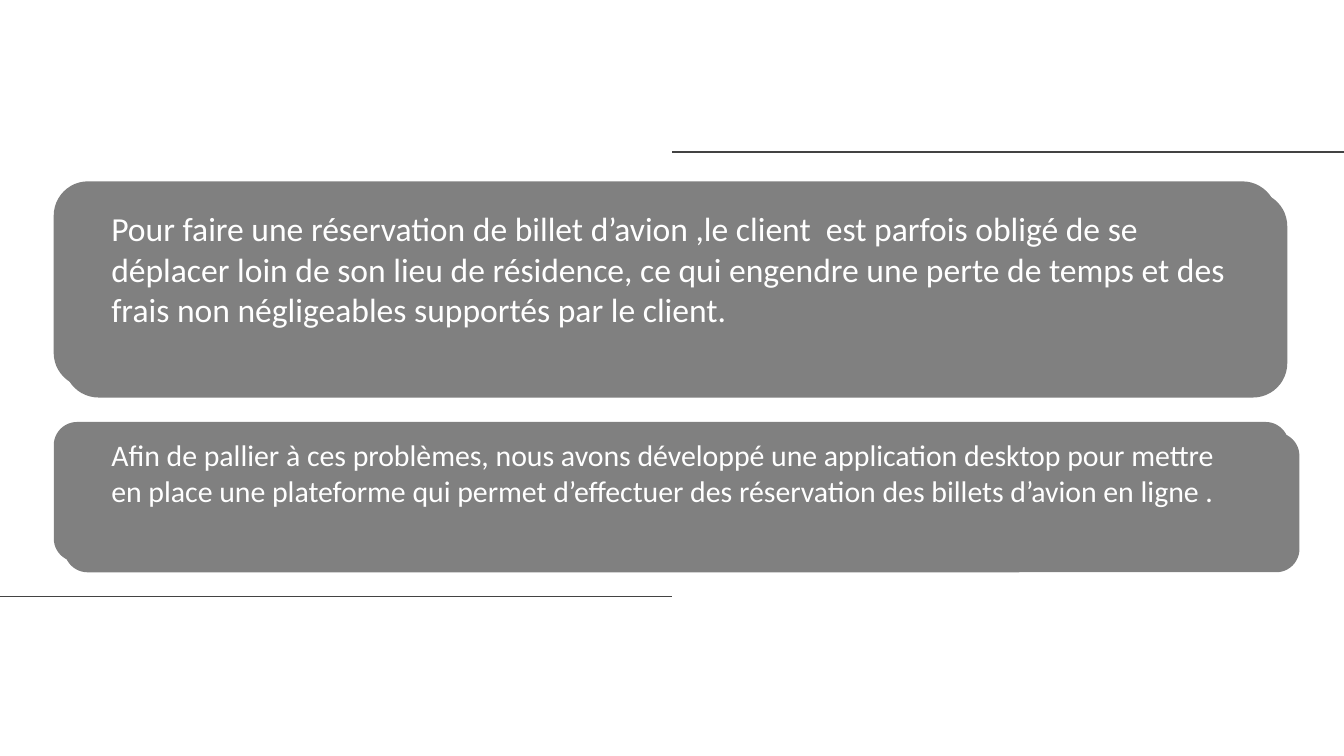
import pptx
import pptx.dml.color
import pptx.enum.shapes
import pptx.oxml
import pptx.oxml.ns
import pptx.util
from pptx.util import Inches

SLIDE_WIDTH = 10
SLIDE_HEIGHT = SLIDE_WIDTH * 9 / 16
GREY, RULE, WHITE = "808080", "434343", "FFFFFF"
CARD_LEFT, TEXT_LEFT = 0.4, 0.73
CORNER = 1 / 6  # radius as a share of card height

# Rules: left, right, y
RULES = [(5, 10, 1.13), (0, 5, 4.44)]

# Card top, width, height; text top, width, height
CARDS = [
    {
        "card": (1.35, 9.1, 1.53),
        "text": (1.5, 8.7, 1.25),
        "size": 18,
        "paragraphs": [
            "Pour faire une réservation de billet d’avion ,le client  est parfois obligé de se "
            "déplacer loin de son lieu de résidence, ce qui engendre une perte de temps et des "
            "frais non négligeables supportés par le client.",
        ],
    },
    {
        "card": (3.14, 9.19, 1.04),
        "text": (3.2, 9.59, 0.84),
        "size": 16,
        "paragraphs": [
            "Afin de pallier à ces problèmes, nous avons développé une application desktop pour mettre",
            "en place une plateforme qui permet d’effectuer des réservation des billets d’avion en ligne .",
        ],
    },
]


def rgb(value):
    return pptx.dml.color.RGBColor.from_string(value)


def set_effects(shape, effects=""):
    """Give the shape exactly these effects; none by default."""
    shape._element.spPr.append(pptx.oxml.parse_xml(
        f'<a:effectLst {pptx.oxml.ns.nsdecls("a")}>{effects}</a:effectLst>'))


def add_rule(slide, left, right, y):
    rule = slide.shapes.add_connector(
        pptx.enum.shapes.MSO_CONNECTOR.STRAIGHT,
        Inches(left), Inches(y), Inches(right), Inches(y))
    rule.line.color.rgb = rgb(RULE)
    rule.line.width = pptx.util.Pt(0.75)
    set_effects(rule)


def add_card(slide, top, width, height):
    card = slide.shapes.add_shape(
        pptx.enum.shapes.MSO_SHAPE.ROUNDED_RECTANGLE,
        Inches(CARD_LEFT), Inches(top), Inches(width), Inches(height))
    card.adjustments[0] = CORNER
    card.fill.solid()
    card.fill.fore_color.rgb = rgb(GREY)
    card.line.fill.background()
    # Solid shadow, 8 pt away at 45 degrees
    set_effects(card, f'<a:outerShdw dist="{pptx.util.Pt(8)}" dir="{45 * 60000}" '
                      f'algn="ctr" rotWithShape="0"><a:srgbClr val="{GREY}"/></a:outerShdw>')


def add_text(slide, top, width, height, paragraphs, size):
    frame = slide.shapes.add_textbox(
        Inches(TEXT_LEFT), Inches(top), Inches(width), Inches(height)).text_frame
    frame.word_wrap = True
    frame.text = "\n".join(paragraphs)
    for paragraph in frame.paragraphs:
        paragraph.font.name = "Calibri"
        paragraph.font.size = pptx.util.Pt(size)
        paragraph.font.color.rgb = rgb(WHITE)


def main():
    deck = pptx.Presentation()
    deck.slide_width = Inches(SLIDE_WIDTH)
    deck.slide_height = Inches(SLIDE_HEIGHT)
    slide = deck.slides.add_slide(deck.slide_layouts.get_by_name("Blank"))
    for rule in RULES:
        add_rule(slide, *rule)
    for item in CARDS:
        add_card(slide, *item["card"])
        add_text(slide, *item["text"], item["paragraphs"], item["size"])
    deck.save("out.pptx")


if __name__ == "__main__":
    main()
